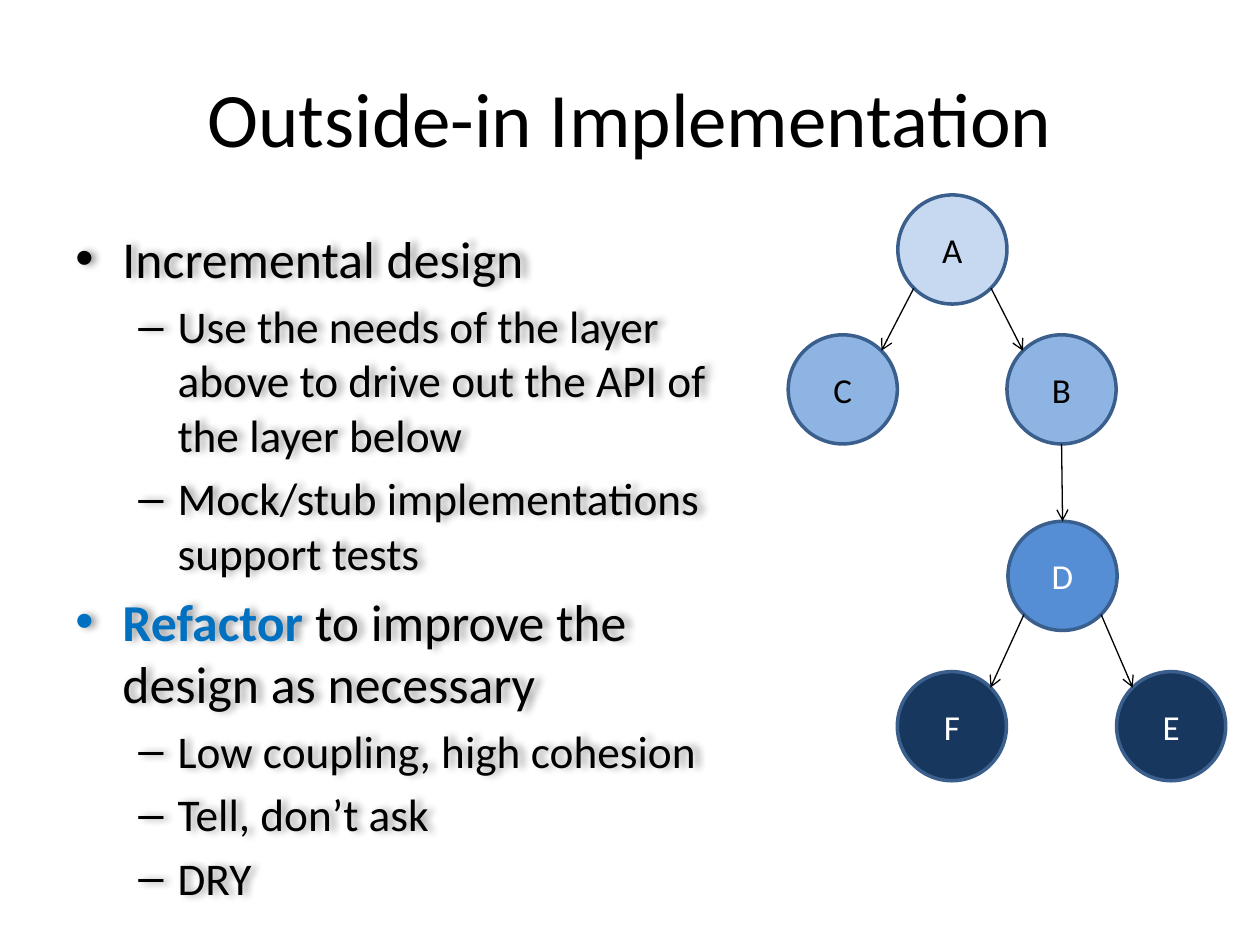
import math

from lxml import etree
from pptx import Presentation
from pptx import util as u
from pptx.dml.color import RGBColor
from pptx.enum import shapes, text
from pptx.oxml import ns

COLORS = {
    "black": "000000", "white": "FFFFFF", "accent": "0070C0", "outline": "3A5F8C",
    "top": "C6D9F1", "second": "8EB4E3", "third": "558ED5", "bottom": "17375E",
}


def write(paragraph, words, size, color="black", bold=False, align=None):
    run = paragraph.add_run()
    run.text = words
    run.font.name = "Calibri"
    run.font.size = u.Pt(size)
    run.font.bold = bold
    run.font.color.rgb = RGBColor.from_string(COLORS[color])
    if align is not None:
        paragraph.alignment = align


def add_xml(parent, tag, **attributes):
    return etree.SubElement(parent, ns.qn(tag), attributes)


prs = Presentation()
prs.slide_width, prs.slide_height = u.Cm(25.4), u.Cm(19.05)
slide = prs.slides.add_slide(prs.slide_layouts[5])

# Title
title = slide.shapes.title
title.left, title.top, title.width, title.height = u.Cm(1.27), u.Cm(0.76), u.Cm(22.86), u.Cm(3.18)
title.text_frame.vertical_anchor = text.MSO_ANCHOR.MIDDLE
write(title.text_frame.paragraphs[0], "Outside-in Implementation", size=44,
      align=text.PP_ALIGN.CENTER)

# Bullet points: level and runs of (words, format)
points = [
    (0, [("Incremental design", {})]),
    (1, [("Use the needs of the layer above to drive out the API of the layer below", {})]),
    (1, [("Mock/stub implementations support tests", {})]),
    (0, [("Refactor", {"color": "accent", "bold": True}),
         (" to improve the design as necessary", {})]),
    (1, [("Low coupling, high cohesion", {})]),
    (1, [("Tell, don’t ask", {})]),
    (1, [("DRY", {})]),
]
# Level: size, left margin, hanging indent, bullet
levels = [(29.6, u.Cm(0.95), u.Cm(-0.95), "•"), (25.9, u.Cm(2.06), u.Cm(-0.79), "–")]

body = slide.shapes.add_textbox(u.Cm(1.27), u.Cm(4.45), u.Cm(14.02), u.Cm(13.08))
body.text_frame.word_wrap = True
for index, (level, runs) in enumerate(points):
    size, margin, indent, bullet = levels[level]
    point = body.text_frame.paragraphs[0] if index == 0 else body.text_frame.add_paragraph()
    point.level = level
    point.space_before = u.Pt(round(size * 0.2, 1))
    for words, style in runs:
        write(point, words, size, **style)
    props = point._p.get_or_add_pPr()
    props.set("marL", str(margin))
    props.set("indent", str(indent))
    add_xml(props, "a:buFont", typeface="Arial")
    add_xml(props, "a:buChar", char=bullet)

# Soft shadow of the bullet text
effects = add_xml(body._element.spPr, "a:effectLst")
shadow = add_xml(effects, "a:outerShdw", blurRad=str(u.Pt(4)), dist=str(u.Pt(3)), dir="0",
                 algn="tl", rotWithShape="0")
add_xml(add_xml(shadow, "a:srgbClr", val=COLORS["black"]), "a:alpha", val="40000")

# Layer nodes: left, top, fill, letter colour
diameter = 2.2
nodes = {
    "A": (18.1, 3.93, "top", "black"),
    "C": (15.89, 6.75, "second", "black"),
    "B": (20.3, 6.75, "second", "black"),
    "D": (20.32, 10.51, "third", "white"),
    "E": (22.51, 13.54, "bottom", "white"),
    "F": (18.09, 13.54, "bottom", "white"),
}
for letter, (left, top, fill, ink) in nodes.items():
    node = slide.shapes.add_shape(shapes.MSO_SHAPE.OVAL, u.Cm(left), u.Cm(top),
                                  u.Cm(diameter), u.Cm(diameter))
    node.shadow.inherit = False
    node.fill.solid()
    node.fill.fore_color.rgb = RGBColor.from_string(COLORS[fill])
    node.line.color.rgb = RGBColor.from_string(COLORS["outline"])
    node.line.width = u.Pt(2)
    node.text_frame.vertical_anchor = text.MSO_ANCHOR.MIDDLE
    write(node.text_frame.paragraphs[0], letter, size=20, color=ink,
          align=text.PP_ALIGN.CENTER)

# Arrows leave and reach the circles at these angles (degrees, clockwise from the right)
arrows = [("A", 45, "B", 225), ("A", 135, "C", 315), ("B", 90, "D", 270),
          ("D", 45, "E", 225), ("D", 135, "F", 315)]
for parent, leave, child, reach in arrows:
    ends = []
    for letter, angle in ((parent, leave), (child, reach)):
        left, top = nodes[letter][:2]
        radius = diameter / 2
        ends += [u.Cm(left + radius + radius * math.cos(math.radians(angle))),
                 u.Cm(top + radius + radius * math.sin(math.radians(angle)))]
    arrow = slide.shapes.add_connector(shapes.MSO_CONNECTOR.STRAIGHT, *ends)
    arrow.line.color.rgb = RGBColor.from_string(COLORS["black"])
    arrow.line.width = u.Pt(0.75)
    add_xml(arrow.line._get_or_add_ln(), "a:tailEnd", type="arrow")
    add_xml(arrow._element.spPr, "a:effectLst")

prs.save("out.pptx")
